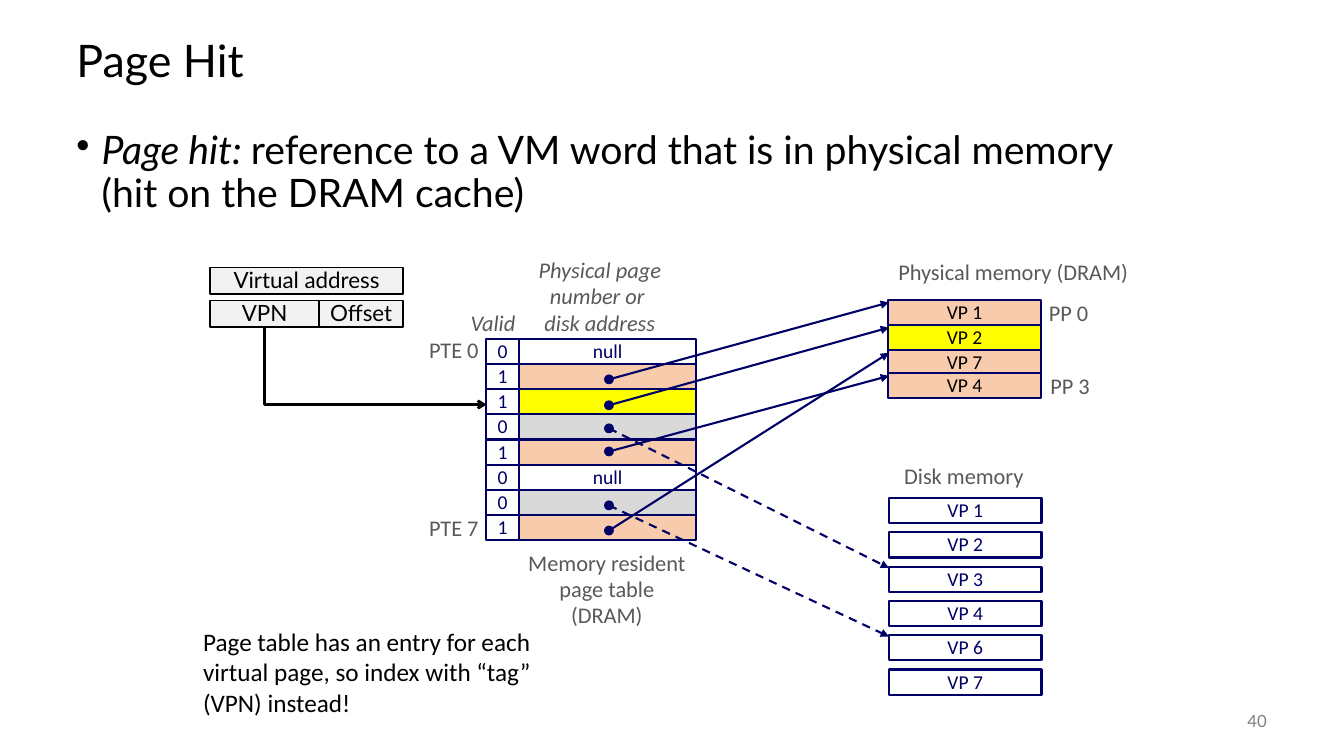
"""Build the Page Hit slide: a page table mapping to memory and disk."""
from dataclasses import dataclass

from lxml.etree import SubElement
from pptx import Presentation
from pptx.dml.color import RGBColor
from pptx.enum.dml import MSO_LINE_DASH_STYLE as Dash
from pptx.enum.shapes import MSO_CONNECTOR as Conn, MSO_SHAPE as Shape
from pptx.enum.text import MSO_ANCHOR as Anchor, MSO_AUTO_SIZE as Auto, PP_ALIGN as Align
from pptx.oxml.ns import qn
from pptx.util import Pt


@dataclass(frozen=True)
class Theme:
    navy: str = "000066"
    black: str = "000000"
    white: str = "FFFFFF"
    grey: str = "595959"
    pale: str = "F2F2F2"
    number: str = "808080"
    cached: str = "F8CBAD"
    on_disk: str = "D9D9D9"
    hit: str = "FFFF00"
    head_font: str = "Lato"
    font: str = "Calibri"
    title: int = 32
    body: int = 28
    note: int = 18
    label: int = 16
    cell: int = 14
    small: int = 12


class Diagram:
    def __init__(self, slide, theme):
        self.s, self.t = slide, theme

    def styled_run(self, p, text, size, color, font, italic=False):
        r = p.add_run()
        r.text = text
        r.font.size, r.font.name, r.font.italic = Pt(size), font, italic
        r.font.color.rgb = RGBColor.from_string(color)

    def text(self, box, lines, size=None, color=None, font=None, align=Align.LEFT,
             anchor=Anchor.TOP, italic=False, spacing=None, wrap=False, grow=True):
        sp = self.s.shapes.add_textbox(*map(Pt, box))
        tf = sp.text_frame
        tf.word_wrap, tf.vertical_anchor = wrap, anchor
        tf.auto_size = Auto.SHAPE_TO_FIT_TEXT if grow else Auto.NONE
        for i, line in enumerate(lines):
            p = tf.add_paragraph() if i else tf.paragraphs[0]
            p.alignment, p.line_spacing = align, spacing
            self.styled_run(p, line, size or self.t.label, color or self.t.grey,
                            font or self.t.font, italic)
        return sp

    def label(self, box, *lines, align=Align.CENTER, **style):
        return self.text(box, lines, align=align, spacing=0.98, **style)

    def bullet(self, box, lead, *lines):
        sp = self.text(box, [], wrap=True, grow=False)
        p = sp.text_frame.paragraphs[0]
        p.line_spacing = 0.9
        pPr = p._p.get_or_add_pPr()
        pPr.set("marL", str(Pt(18)))
        pPr.set("indent", str(Pt(-18)))
        SubElement(pPr, qn("a:buChar")).set("char", "•")
        style = self.t.body, self.t.black, self.t.head_font
        self.styled_run(p, lead, *style, italic=True)
        for i, line in enumerate(lines):
            if i:
                p.add_line_break()
            self.styled_run(p, line, *style)

    def shape(self, kind, box, fill, line, weight):
        sp = self.s.shapes.add_shape(kind, *map(Pt, box))
        sp.shadow.inherit = False
        if fill:
            sp.fill.solid()
            sp.fill.fore_color.rgb = RGBColor.from_string(fill)
        else:
            sp.fill.background()
        sp.line.color.rgb = RGBColor.from_string(line)
        sp.line.width = Pt(weight)
        return sp

    def cell(self, box, fill, text="", color=None, line=None, weight=1.5,
             size=None, font=None):
        sp = self.shape(Shape.RECTANGLE, box, fill, line or self.t.navy, weight)
        if text:
            tf = sp.text_frame
            tf.word_wrap, tf.vertical_anchor = False, Anchor.MIDDLE
            p = tf.paragraphs[0]
            p.alignment, p.line_spacing = Align.CENTER, 0.98
            self.styled_run(p, text, size or self.t.cell, color or self.t.navy,
                            font or self.t.font)

    def field(self, box, text):
        t = self.t
        self.cell(box, t.pale, text, t.black, t.black, 1, t.label, t.head_font)

    def dot(self, x, y, size=6):
        box = x - size / 2, y - size / 2, size, size
        self.shape(Shape.OVAL, box, self.t.navy, self.t.navy, 1)

    def arrow(self, start, end, color=None, weight=1.5, head="triangle",
              dashed=False, kind=Conn.STRAIGHT):
        c = self.s.shapes.add_connector(kind, *map(Pt, (*start, *end)))
        c.line.color.rgb = RGBColor.from_string(color or self.t.navy)
        c.line.width = Pt(weight)
        if dashed:
            c.line.dash_style = Dash.DASH
        spPr = c._element.spPr
        SubElement(spPr.find(qn("a:ln")), qn("a:tailEnd")).set("type", head)
        SubElement(spPr, qn("a:effectLst"))
        return c

    def down_then_right(self, start, end):
        (x1, y1), (x2, y2) = start, end
        cx, cy = (x1 + x2) / 2, (y1 + y2) / 2
        dx, dy = (y2 - y1) / 2, (x2 - x1) / 2
        c = self.arrow((cx + dx, cy - dy), (cx - dx, cy + dy), self.t.black,
                       2, "arrow", kind=Conn.ELBOW)
        spPr = c._element.spPr
        spPr.find(qn("a:xfrm")).set("rot", "16200000")
        spPr.find(qn("a:prstGeom")).set("prst", "bentConnector2")


def draw_memories(d, t):
    """Draw physical memory and disk, and return the arrow target heights."""
    x, w, h = 634.5, 109, 18
    targets = {}
    slots = [("VP 1", 214, t.cached), ("VP 7", 250, t.cached),
             ("VP 4", 266.5, t.cached), ("VP 2", 232, t.hit)]
    for name, y, fill in slots:
        d.cell((x, y, w, h), fill, name, t.black)
        targets["DRAM", name] = y + 2
    for i, page in enumerate((1, 2, 3, 4, 6, 7)):
        name, y = f"VP {page}", 355.7 + 24.5 * i
        d.cell((x + 0.5, y, w, h), t.white, name)
        targets["disk", name] = y + 1
    d.label((616, 182, 215.5, 26.5), "Physical memory (DRAM)", wrap=True)
    d.label((638, 327.5, 101, 26.5), "Disk memory")
    d.label((741.5, 211, 43.5, 26.5), "PP 0", anchor=Anchor.MIDDLE)
    d.label((742.5, 263, 43.5, 26.5), "PP 3", anchor=Anchor.MIDDLE)
    return targets


def draw_page_table(d, t, targets):
    """Draw the page table rows with their labels, dots and arrows."""
    left, top, valid_w, entry_w, h = 347, 242, 24, 126, 18
    dot_x, target_x = 435, 635
    rows = [("0", t.white, None, None),
            ("1", t.cached, 271, ("DRAM", "VP 1")),
            ("1", t.hit, 289.5, ("DRAM", "VP 2")),
            ("0", t.on_disk, 306, ("disk", "VP 3")),
            ("1", t.cached, 322.5, ("DRAM", "VP 4")),
            ("0", t.white, None, None),
            ("0", t.on_disk, 361, ("disk", "VP 6")),
            ("1", t.cached, 379, ("DRAM", "VP 7"))]
    for i, (valid, fill, _, page) in enumerate(rows):
        y = top + h * i
        d.cell((left, y, valid_w, h), None, valid)
        d.cell((left + valid_w, y, entry_w, h), fill, "" if page else "null")
    for _, _, y, page in rows:
        if page:
            d.dot(dot_x, y)
            d.arrow((dot_x, y), (target_x, targets[page]), dashed=page[0] == "disk")
    d.label((329, 218, 54, 26.5), "Valid", align=Align.LEFT, italic=True, wrap=True)
    d.label((376, 180, 105, 64), "Physical page", "number or ", "disk address",
            italic=True, anchor=Anchor.MIDDLE)
    d.label((367, 389.5, 133, 64), "Memory resident", "page table", "(DRAM)")
    for name, y in (("PTE 0", 237), ("PTE 7", 364.5)):
        d.label((299, y, 50, 26.5), name, align=Align.RIGHT, anchor=Anchor.MIDDLE)


def draw_address(d):
    """Draw the virtual address and the arrow from its VPN to the table."""
    d.field((150, 191, 138, 19), "Virtual address")
    d.down_then_right((189, 234), (347.5, 289))
    d.field((150, 214.5, 78, 19), "VPN")
    d.field((228, 214.5, 60, 19), "Offset")


def main():
    """Build and save the slide."""
    prs = Presentation()
    prs.slide_width, prs.slide_height = Pt(960), Pt(540)
    t = Theme()
    d = Diagram(prs.slides.add_slide(prs.slide_layouts[6]), t)
    d.text((47.5, 18, 864, 54), ["Page Hit"], t.title, t.black, t.head_font,
           anchor=Anchor.MIDDLE, spacing=0.9, wrap=True, grow=False)
    d.bullet((47.5, 90, 864, 396), "Page hit: ",
             "reference to a VM word that is in physical memory",
             "(hit on the DRAM cache)")
    draw_page_table(d, t, draw_memories(d, t))
    draw_address(d)
    d.text((138, 444, 257, 73),
           ["Page table has an entry for each", "virtual page, so index with “tag”",
            "(VPN) instead!"], t.note, t.black)
    d.text((840, 500.5, 72, 28.5), ["40"], t.small, t.number, t.head_font,
           align=Align.RIGHT, anchor=Anchor.MIDDLE, wrap=True, grow=False)
    prs.save("out.pptx")


if __name__ == "__main__":
    main()
